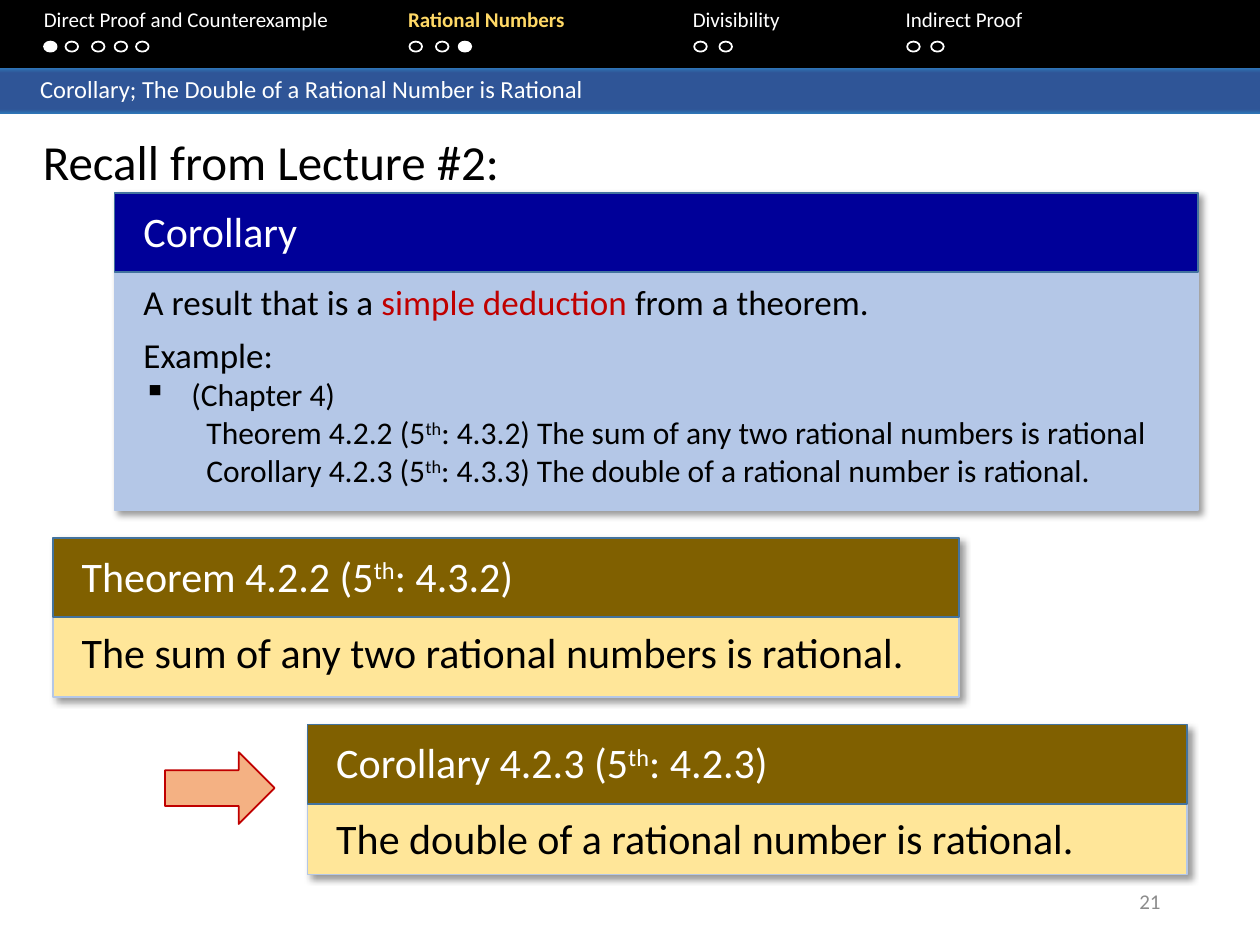
"""Build the lecture slide on the corollary about doubling a rational number."""
import lxml.etree
import pptx
import pptx.dml.color
import pptx.enum.shapes
import pptx.enum.text
import pptx.oxml.ns
import pptx.util

Inches, Pt = pptx.util.Inches, pptx.util.Pt
RGBColor = pptx.dml.color.RGBColor
SHAPES = pptx.enum.shapes.MSO_SHAPE
ALIGN = pptx.enum.text.PP_ALIGN
ANCHOR = pptx.enum.text.MSO_ANCHOR
qn = pptx.oxml.ns.qn

BLACK = RGBColor(0x00, 0x00, 0x00)
WHITE = RGBColor(0xFF, 0xFF, 0xFF)
GRAY = RGBColor(0x8C, 0x8C, 0x8C)
GOLD = RGBColor(0xFF, 0xD9, 0x66)
RED = RGBColor(0xC0, 0x00, 0x00)
NAVY = RGBColor(0x00, 0x00, 0x99)
PALE_BLUE = RGBColor(0xB4, 0xC7, 0xE7)
STEEL = RGBColor(0x43, 0x73, 0x9E)
BROWN = RGBColor(0x80, 0x60, 0x00)
CREAM = RGBColor(0xFF, 0xE6, 0x99)
ORANGE = RGBColor(0xF4, 0xB1, 0x83)
BAND_EDGE = RGBColor(0x2E, 0x75, 0xB6)
BAND_MIDDLE = RGBColor(0x2F, 0x55, 0x97)

TITLE = "Recall from Lecture #2:"
SUBSECTION = "Corollary; The Double of a Rational Number is Rational"
PAGE_NUMBER = "21"
CURRENT_SECTION = "Rational Numbers"
SECTIONS = [
    {"name": "Direct Proof and Counterexample", "tab": 0.25,
     "dots": [0.35, 0.52, 0.73, 0.91, 1.08], "filled": 0},
    {"name": CURRENT_SECTION, "tab": 3.14, "dots": [3.25, 3.46, 3.64], "filled": 2},
    {"name": "Divisibility", "tab": 5.4, "dots": [5.51, 5.71], "filled": None},
    {"name": "Indirect Proof", "tab": 7.09, "dots": [7.2, 7.39], "filled": None},
]
BAND_STOPS = [(0, BAND_EDGE), (11, BAND_MIDDLE), (91, BAND_MIDDLE), (100, BAND_EDGE)]


def numbered(before, after):
    return [(before + " (5", {}), ("th", {"raised": True}), (": " + after, {})]


DEFINITION = [
    {"runs": [("A result that is a ", {}), ("simple deduction ", {"color": RED}),
              ("from a theorem.", {})], "size": 20, "after": 6},
    {"runs": [("Example:", {})], "size": 20},
    {"runs": [("(Chapter 4)", {})], "size": 18, "bullet": "▪"},
    {"runs": numbered("\tTheorem 4.2.2",
                      "4.3.2) The sum of any two rational numbers is rational"),
     "size": 18, "tabs": [0.5]},
    {"runs": numbered("\tCorollary 4.2.3",
                      "4.3.3) The double of a rational number is rational."),
     "size": 18, "tabs": [0.5]},
]
CARDS = [
    {"box": (0.91, 1.53, 8.6, 2.52), "colors": (NAVY, PALE_BLUE),
     "heading": [("Corollary", {})], "body": DEFINITION},
    {"box": (2.44, 5.75, 6.98, 1.19), "colors": (BROWN, CREAM),
     "heading": numbered("Corollary 4.2.3", "4.2.3)"),
     "body": [{"runs": [("The double of a rational number is rational.", {})],
               "size": 24, "after": 6}]},
    {"box": (0.42, 4.27, 7.19, 1.26), "colors": (BROWN, CREAM),
     "heading": numbered("Theorem 4.2.2", "4.3.2)"),
     "body": [{"runs": [("The sum of any two rational numbers is rational.", {})],
               "size": 24, "after": 6}]},
]
HEADING_HEIGHT = 0.63


def add_xml(parent, tag, **attributes):
    return lxml.etree.SubElement(parent, qn(tag), attributes)


def write_paragraph(paragraph, runs, size, color=BLACK, after=0, bullet=None,
                    tabs=(), align=ALIGN.LEFT):
    values = {"alignment": align, "space_after": Pt(after), "space_before": Pt(0)}
    for name, value in values.items():
        setattr(paragraph, name, value)
    properties = paragraph._p.get_or_add_pPr()
    if bullet:
        hang = Inches(0.38)
        properties.set("marL", str(hang))
        properties.set("indent", str(-hang))
        add_xml(properties, "a:buChar", char=bullet)
    if tabs:
        stops = add_xml(properties, "a:tabLst")
        for tab in tabs:
            add_xml(stops, "a:tab", pos=str(Inches(tab)), algn="l")
    for text, style in runs:
        run = paragraph.add_run()
        run.text = text
        font = {"name": "Calibri", "size": Pt(size), "bold": style.get("bold", False)}
        for name, value in font.items():
            setattr(run.font, name, value)
        run.font.color.rgb = style.get("color", color)
        if style.get("raised"):
            run._r.get_or_add_rPr().set("baseline", "30000")


def write_text(shape, paragraphs, anchor=ANCHOR.TOP):
    frame = shape.text_frame
    values = {"word_wrap": True, "vertical_anchor": anchor,
              "auto_size": pptx.enum.text.MSO_AUTO_SIZE.NONE}
    for name, value in values.items():
        setattr(frame, name, value)
    for index, item in enumerate(paragraphs):
        paragraph = frame.add_paragraph() if index else frame.paragraphs[0]
        write_paragraph(paragraph, **item)


def add_text(shapes, box, paragraphs, anchor=ANCHOR.TOP):
    write_text(shapes.add_textbox(*map(Inches, box)), paragraphs, anchor)


def add_shape(shapes, kind, box, fill=None, line=None):
    shape = shapes.add_shape(kind, *map(Inches, box))
    shape.shadow.inherit = False
    for target, color in ((shape.fill, fill), (shape.line.fill, line)):
        if color is None:
            target.background()
        else:
            target.solid()
            target.fore_color.rgb = color
    if line is not None:
        shape.line.width = Pt(1)
    return shape


def add_card(slide, box, colors, heading, body):
    left, top, width, height = box
    shapes = slide.shapes.add_group_shape().shapes
    panel = add_shape(shapes, SHAPES.RECTANGLE, box, colors[1], PALE_BLUE)
    effects = panel._element.spPr.find(qn("a:effectLst"))
    shadow = add_xml(effects, "a:outerShdw", blurRad=str(Pt(4)), dist=str(Pt(3)),
                     dir="2700000", algn="tl", rotWithShape="0")
    add_xml(add_xml(shadow, "a:srgbClr", val=str(BLACK)), "a:alpha", val="40000")
    add_shape(shapes, SHAPES.RECTANGLE, (left, top, width, HEADING_HEIGHT), colors[0], STEEL)
    text_left, text_width = left + 0.13, width - 0.26
    add_text(shapes, (text_left, top + 0.05, text_width, 0.5),
             [{"runs": heading, "size": 24, "color": WHITE}])
    body_top = HEADING_HEIGHT + 0.02
    add_text(shapes, (text_left, top + body_top, text_width, height - body_top - 0.03), body)


def add_navigation(slide):
    add_shape(slide.shapes, SHAPES.RECTANGLE, (0, -0.02, 10, 0.56), BLACK)
    current = {"bold": True, "color": GOLD}
    runs = [("\t" + section["name"], current if section["name"] == CURRENT_SECTION else {})
            for section in SECTIONS]
    add_text(slide.shapes, (0, 0, 10, 0.5),
             [{"runs": runs, "size": 12, "color": WHITE,
               "tabs": [section["tab"] for section in SECTIONS]}])
    for section in SECTIONS:
        for index, left in enumerate(section["dots"]):
            fill = WHITE if index == section["filled"] else None
            add_shape(slide.shapes, SHAPES.OVAL, (left, 0.33, 0.1, 0.08), fill, WHITE)


def add_band(slide):
    band = add_shape(slide.shapes, SHAPES.RECTANGLE, (0, 0.54, 10, 0.36))
    band.fill.gradient()
    band.fill.gradient_angle = 270
    stops = band._element.spPr.find(".//" + qn("a:gsLst"))
    stops.clear()
    for position, color in BAND_STOPS:
        add_xml(add_xml(stops, "a:gs", pos=str(position * 1000)), "a:srgbClr", val=str(color))
    write_text(band, [{"runs": [("\t" + SUBSECTION, {})], "size": 14,
                       "color": WHITE, "tabs": [0.22]}])


def main():
    presentation = pptx.Presentation()
    presentation.slide_width, presentation.slide_height = Inches(10), Inches(7.5)
    slide = presentation.slides.add_slide(presentation.slide_layouts[5])
    title = slide.shapes.title
    placement = {"left": 0.24, "top": 0.99, "width": 8.8, "height": 0.57}
    for name, value in placement.items():
        setattr(title, name, Inches(value))
    write_text(title, [{"runs": [(TITLE, {})], "size": 28, "after": 6}])
    add_navigation(slide)
    add_band(slide)
    for card in CARDS:
        add_card(slide, **card)
    add_shape(slide.shapes, SHAPES.RIGHT_ARROW, (1.31, 5.97, 0.87, 0.57), ORANGE, RED)
    add_text(slide.shapes, (7.06, 6.95, 2.25, 0.4),
             [{"runs": [(PAGE_NUMBER, {})], "size": 12, "color": GRAY, "align": ALIGN.RIGHT}],
             ANCHOR.MIDDLE)
    presentation.save("out.pptx")


if __name__ == "__main__":
    main()
